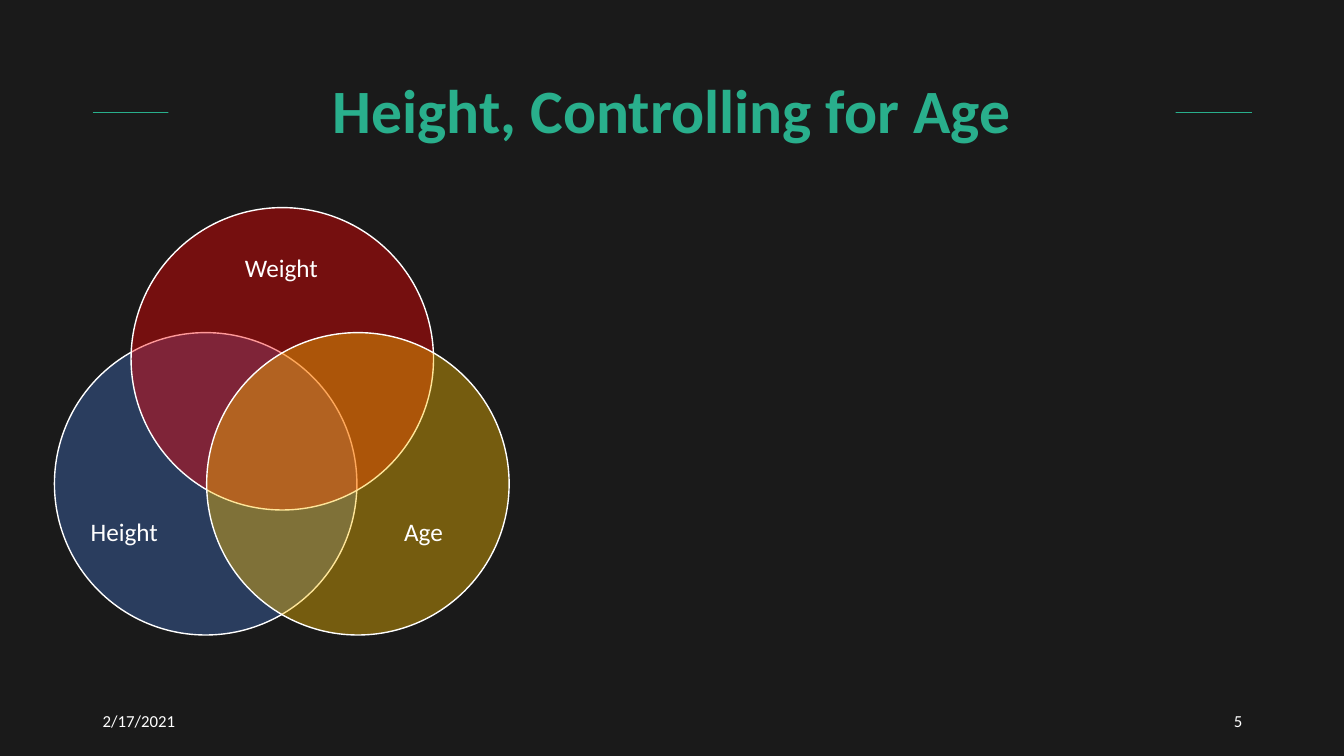
import pptx
import pptx.util
import pptx.dml.color
import pptx.enum.shapes
import pptx.enum.text
import pptx.oxml.ns
from lxml import etree

Inches, Pt = pptx.util.Inches, pptx.util.Pt
RGB = pptx.dml.color.RGBColor.from_string
ALIGN = pptx.enum.text.PP_ALIGN
MIDDLE = pptx.enum.text.MSO_ANCHOR.MIDDLE
qn = pptx.oxml.ns.qn

THEME = {
    "background": RGB("1A1A1A"),
    "accent": RGB("29AF8C"),
    "text": RGB("FFFFFF"),
    "height": RGB("4472C4"),
    "weight": RGB("FF0000"),
    "age": RGB("FFC000"),
    "font": "Calibri",
    "title_size": Pt(44),
    "label_size": Pt(18),
    "footer_size": Pt(12),
}


def write(shape, text, size, color, align=ALIGN.LEFT, bold=False):
    p = shape.text_frame.paragraphs[0]
    p.alignment = align
    r = p.add_run()
    r.text = text
    style = {"name": THEME["font"], "size": size, "bold": bold}
    for name, value in style.items():
        setattr(r.font, name, value)
    r.font.color.rgb = color
    return p


prs = pptx.Presentation()
prs.slide_width, prs.slide_height = Inches(13.33), Inches(7.5)
s = prs.slides.add_slide(prs.slide_layouts[5])
s.background.fill.solid()
s.background.fill.fore_color.rgb = THEME["background"]

# Rule that passes behind the title
rule = s.shapes.add_connector(pptx.enum.shapes.MSO_CONNECTOR.STRAIGHT,
                              Inches(0.92), Inches(1.11), Inches(12.42), Inches(1.11))
rule.line.color.rgb = THEME["accent"]
rule.line.width = Pt(0.5)
etree.SubElement(rule.element.spPr, qn("a:effectLst"))

# Title, filled so that it hides the middle of the rule
title = s.shapes.title
title.left, title.top, title.width, title.height = map(Inches, (1.67, 0.4, 9.99, 1.45))
title.fill.solid()
title.fill.fore_color.rgb = THEME["background"]
title.text_frame.vertical_anchor = MIDDLE
p = write(title, "Height, Controlling for Age", THEME["title_size"], THEME["accent"],
          ALIGN.CENTER, True)
p.line_spacing = 0.9
rule.element.addnext(title.element)

# Date and slide number
for text, left, align in (("2/17/2021", 0.92, ALIGN.LEFT), ("5", 9.42, ALIGN.RIGHT)):
    footer = s.shapes.add_textbox(Inches(left), Inches(6.95), Inches(3), Inches(0.4))
    footer.text_frame.word_wrap = True
    footer.text_frame.vertical_anchor = MIDDLE
    write(footer, text, THEME["footer_size"], THEME["text"], align)

# Venn circles
DIAMETER = Inches(3)
for variable, left, top in (("height", 0.54, 3.3), ("weight", 1.3, 2.06), ("age", 2.05, 3.3)):
    circle = s.shapes.add_shape(pptx.enum.shapes.MSO_SHAPE.OVAL,
                                Inches(left), Inches(top), DIAMETER, DIAMETER)
    circle.shadow.inherit = False
    circle.fill.solid()
    circle.fill.fore_color.rgb = THEME[variable]
    color = circle.element.spPr.find(qn("a:solidFill")).find(qn("a:srgbClr"))
    etree.SubElement(color, qn("a:alpha"), val="40000")
    circle.line.color.rgb = THEME["text"]
    circle.line.width = Pt(1)

# Circle labels
for text, left, top, width in (("Weight", 2.33, 2.45, 0.94), ("Height", 0.8, 5.07, 0.88),
                               ("Age", 3.91, 5.07, 0.59)):
    label = s.shapes.add_textbox(Inches(left), Inches(top), Inches(width), Inches(0.4))
    label.text_frame.word_wrap = False
    label.text_frame.auto_size = pptx.enum.text.MSO_AUTO_SIZE.SHAPE_TO_FIT_TEXT
    write(label, text, THEME["label_size"], THEME["text"])

prs.save("out.pptx")
